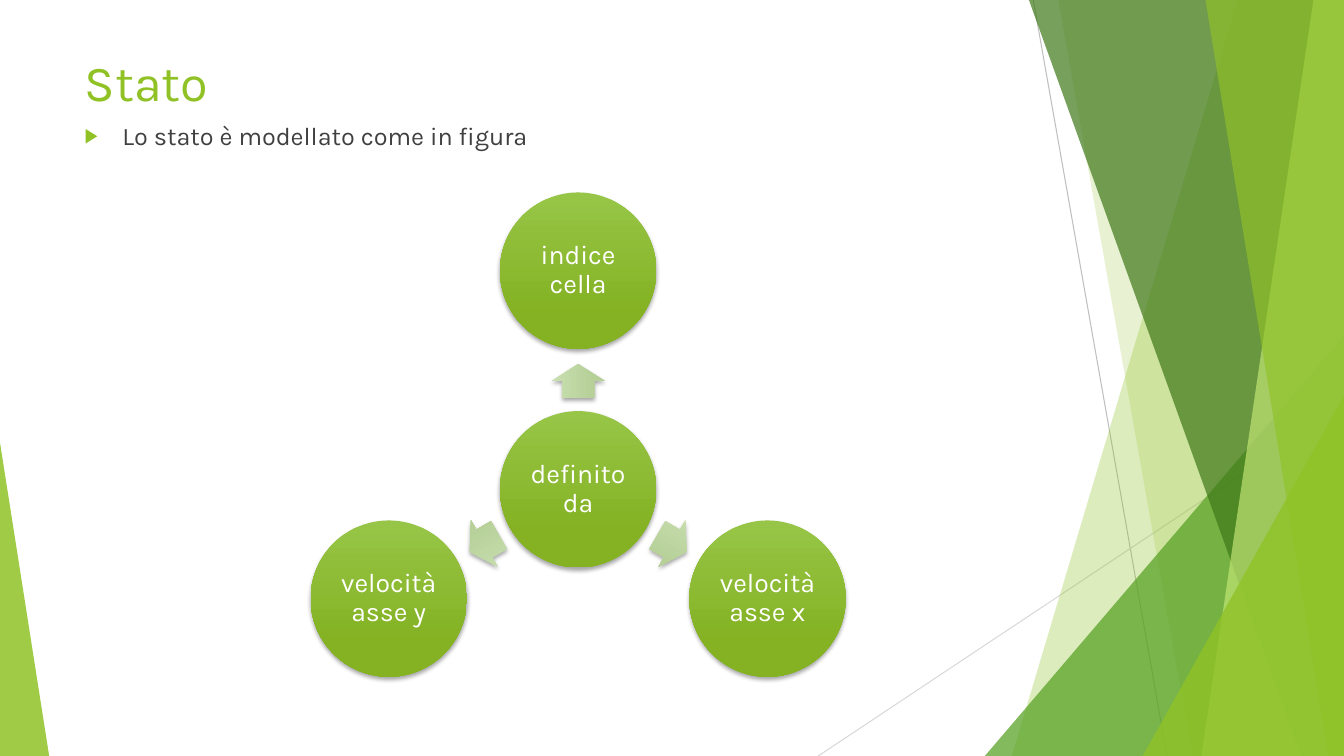
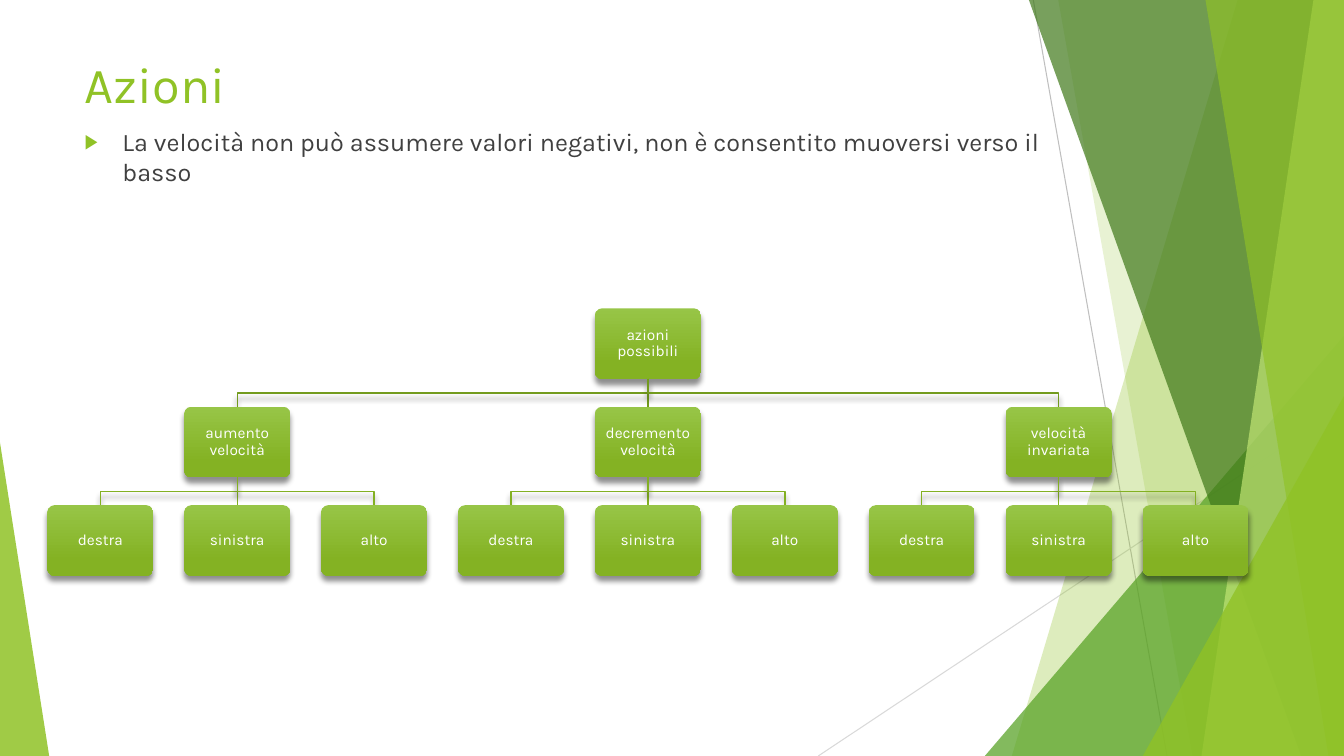
from dataclasses import dataclass
from math import cos, radians, sin

from lxml import etree
from pptx import Presentation
from pptx.dml import color as dml
from pptx.enum import shapes, text
from pptx.oxml import ns
from pptx.util import Cm, Pt

WIDTH, HEIGHT = 33.87, 19.05
FONT = "Karla"
LIME, GREEN, FOREST, PALE = "90C226", "54A021", "3F7819", "C0E474"
WHITE, INK = "FFFFFF", "404040"
NODE_FILL = ("97C547", "84B223")
ARROW_FILL = ("C9DFB1", "B6D098")


@dataclass(frozen=True)
class Facet:
    top_x: float
    bottom_x: float
    color: str
    opacity: int


@dataclass(frozen=True)
class Triangle:
    width: float
    height: float
    apex: int
    color: str
    opacity: int


@dataclass(frozen=True)
class Line:
    start: tuple[float, float]
    end: tuple[float, float]
    color: str
    weight: float = 0.75


@dataclass(frozen=True)
class Shadow:
    opacity: int
    blur: float
    distance: float


@dataclass(frozen=True)
class NodeStyle:
    preset: shapes.MSO_SHAPE
    width: float
    height: float
    margin: float
    size: int
    shadow: Shadow


@dataclass(frozen=True)
class Branch:
    label: str
    leaves: tuple[str, ...] = ("destra", "sinistra", "alto")


BACKDROP_LINES = (
    Line((26.04, 0), (29.41, HEIGHT), "BFBFBF"),
    Line((WIDTH, 10.24), (20.62, HEIGHT), "D9D9D9"),
)
BACKDROP = (
    Facet(31.19, 25.5, LIME, 30),
    Facet(26.67, 30.05, LIME, 20),
    Triangle(9.05, 10.59, 1, GREEN, 72),
    Facet(25.93, 32.79, FOREST, 70),
    Facet(33.1, 30.28, PALE, 70),
    Facet(30.38, 33.48, LIME, 65),
    Triangle(5.07, 9.07, 1, LIME, 80),
    Triangle(1.24, 7.9, 0, LIME, 85),
)

SOFT = Shadow(35, 3, 2)
DEEP = Shadow(43, 4, 4)
CIRCLE = NodeStyle(shapes.MSO_SHAPE.OVAL, 3.94, 3.94, 0.08, 19, SOFT)
CARD = NodeStyle(shapes.MSO_SHAPE.ROUNDED_RECTANGLE, 2.67, 1.78, 0.12, 11, DEEP)

HUB_X, HUB_Y = 14.57, 12.33
ORBIT, ARROW_ORBIT = 5.51, 2.73
ARROW_WIDTH, ARROW_HEIGHT = 0.85, 1.35
STATE_PARTS = {-90: "indice cella", 30: "velocità asse x", 150: "velocità asse y"}

FIRST_COLUMN, COLUMN_STEP = 2.53, 3.45
FIRST_ROW, ROW_STEP = 8.66, 2.48
BRANCH_LINE, LEAF_LINE = "739B1E", "83B022"
BRANCHES = (
    Branch("aumento velocità"),
    Branch("decremento velocità"),
    Branch("velocità invariata"),
)


def rgb(value: str) -> dml.RGBColor:
    return dml.RGBColor.from_string(value)


def add_child(parent, tag: str, **attributes):
    return etree.SubElement(parent, ns.qn(tag), attributes)


def add_shadow(shape, shadow: Shadow) -> None:
    effects = shape.element.spPr.find(ns.qn("a:effectLst"))
    outer = add_child(
        effects, "a:outerShdw", blurRad=str(Pt(shadow.blur)),
        dist=str(Pt(shadow.distance)), dir="5400000", rotWithShape="0",
    )
    tone = add_child(outer, "a:srgbClr", val="000000")
    add_child(tone, "a:alpha", val=str(shadow.opacity * 1000))


def fill_clear(shape, color: str, opacity: int) -> None:
    shape.shadow.inherit = False
    shape.line.fill.background()
    shape.fill.solid()
    shape.fill.fore_color.rgb = rgb(color)
    tone = shape.element.spPr.find(".//" + ns.qn("a:srgbClr"))
    add_child(tone, "a:alpha", val=str(opacity * 1000))


def fill_gradient(shape, colors: tuple[str, str], shadow: Shadow) -> None:
    shape.shadow.inherit = False
    shape.line.fill.background()
    shape.fill.gradient()
    shape.fill.gradient_angle = 270
    for stop, color, position in zip(shape.fill.gradient_stops, colors, (0, 0.78)):
        stop.color.rgb = rgb(color)
        stop.position = position
    add_shadow(shape, shadow)


def add_centred(page, preset, x: float, y: float, width: float, height: float):
    return page.shapes.add_shape(
        preset, Cm(x - width / 2), Cm(y - height / 2), Cm(width), Cm(height)
    )


def add_polygon(page, points: list[tuple[float, float]], close: bool):
    corners = [(Cm(x), Cm(y)) for x, y in points]
    builder = page.shapes.build_freeform(*corners[0], scale=1.0)
    builder.add_line_segments(corners[1:], close=close)
    return builder.convert_to_shape()


def add_line(page, line: Line) -> None:
    (x1, y1), (x2, y2) = line.start, line.end
    connector = page.shapes.add_connector(
        shapes.MSO_CONNECTOR.STRAIGHT, Cm(x1), Cm(y1), Cm(x2), Cm(y2)
    )
    connector.line.color.rgb = rgb(line.color)
    connector.line.width = Pt(line.weight)
    add_child(connector.element.spPr, "a:effectLst")


def write(para, words: str, size: int, color: str) -> None:
    span = para.add_run()
    span.text = words
    span.font.name = FONT
    span.font.size = Pt(size)
    span.font.color.rgb = rgb(color)


def add_backdrop(page, layout) -> None:
    before = len(page.shapes)
    for line in BACKDROP_LINES:
        add_line(page, line)
    for part in BACKDROP:
        if isinstance(part, Facet):
            corners = [(part.top_x, 0), (WIDTH, 0), (WIDTH, HEIGHT), (part.bottom_x, HEIGHT)]
            shape = add_polygon(page, corners, close=True)
        else:
            shape = page.shapes.add_shape(
                shapes.MSO_SHAPE.ISOSCELES_TRIANGLE,
                Cm((WIDTH - part.width) * part.apex), Cm(HEIGHT - part.height),
                Cm(part.width), Cm(part.height),
            )
            shape.adjustments[0] = part.apex
        fill_clear(shape, part.color, part.opacity)
    tree = layout.element.cSld.spTree
    for position, shape in enumerate(list(page.shapes)[before:], start=2):
        tree.insert(position, shape.element)


def place_text(box, top: float, width: float, height: float):
    box.left, box.top, box.width, box.height = Cm(1.88), Cm(top), Cm(width), Cm(height)
    frame = box.text_frame
    frame.word_wrap = True
    frame.auto_size = text.MSO_AUTO_SIZE.NONE
    frame.vertical_anchor = text.MSO_ANCHOR.TOP
    para = frame.paragraphs[0]
    para.alignment = text.PP_ALIGN.LEFT
    return para


def add_heading(page, title: str, title_top: float, point: str, point_top: float) -> None:
    para = place_text(page.shapes.title, title_top, 23.88, 3.66)
    write(para, title, 36, LIME)
    para = place_text(page.placeholders[1], point_top, 25.25, 2.57)
    properties = para._p.get_or_add_pPr()
    properties.set("marL", str(Cm(0.95)))
    properties.set("indent", str(-Cm(0.95)))
    add_child(add_child(properties, "a:buClr"), "a:srgbClr", val=LIME)
    add_child(properties, "a:buSzPct", val="80000")
    add_child(properties, "a:buFont", typeface="Arial")
    add_child(properties, "a:buChar", char="▶")
    para.space_before = Pt(0)
    write(para, point, 18, INK)


def add_node(page, style: NodeStyle, x: float, y: float, label: str) -> None:
    shape = add_centred(page, style.preset, x, y, style.width, style.height)
    if style.preset == shapes.MSO_SHAPE.ROUNDED_RECTANGLE:
        shape.adjustments[0] = 0.1
    fill_gradient(shape, NODE_FILL, style.shadow)
    frame = shape.text_frame
    frame.word_wrap = True
    frame.vertical_anchor = text.MSO_ANCHOR.MIDDLE
    frame.margin_left = frame.margin_right = Cm(style.margin)
    frame.margin_top = frame.margin_bottom = Cm(style.margin)
    para = frame.paragraphs[0]
    para.alignment = text.PP_ALIGN.CENTER
    para.line_spacing = 0.9
    write(para, label, style.size, WHITE)


def add_state_diagram(page) -> None:
    add_node(page, CIRCLE, HUB_X, HUB_Y, "definito da")
    for angle, label in STATE_PARTS.items():
        dx, dy = cos(radians(angle)), sin(radians(angle))
        arrow = add_centred(
            page, shapes.MSO_SHAPE.RIGHT_ARROW,
            HUB_X + ARROW_ORBIT * dx, HUB_Y + ARROW_ORBIT * dy,
            ARROW_WIDTH, ARROW_HEIGHT,
        )
        arrow.rotation = angle % 360
        arrow.adjustments[0] = 0.6
        arrow.adjustments[1] = 0.5
        fill_gradient(arrow, ARROW_FILL, SOFT)
        add_node(page, CIRCLE, HUB_X + ORBIT * dx, HUB_Y + ORBIT * dy, label)


def column_x(column: int) -> float:
    return FIRST_COLUMN + column * COLUMN_STEP


def row_y(row: int) -> float:
    return FIRST_ROW + row * ROW_STEP


def add_link(page, parent: int, child: int, row: int, color: str) -> None:
    start, end = column_x(parent), column_x(child)
    top, bottom = row_y(row - 1) + CARD.height / 2, row_y(row) - CARD.height / 2
    if parent == child:
        add_line(page, Line((start, top), (end, bottom), color, 1))
        return
    middle = (top + bottom) / 2
    elbow = add_polygon(
        page, [(start, top), (start, middle), (end, middle), (end, bottom)], close=False
    )
    elbow.shadow.inherit = False
    elbow.fill.background()
    elbow.line.color.rgb = rgb(color)
    elbow.line.width = Pt(1)
    add_shadow(elbow, DEEP)


def add_action_tree(page) -> None:
    root = 4
    add_node(page, CARD, column_x(root), row_y(0), "azioni possibili")
    for index, branch in enumerate(BRANCHES):
        first = index * len(branch.leaves)
        middle = first + 1
        add_link(page, root, middle, 1, BRANCH_LINE)
        add_node(page, CARD, column_x(middle), row_y(1), branch.label)
        for column, leaf in enumerate(branch.leaves, start=first):
            add_link(page, middle, column, 2, LEAF_LINE)
            add_node(page, CARD, column_x(column), row_y(2), leaf)


def main() -> None:
    deck = Presentation()
    deck.slide_width, deck.slide_height = Cm(WIDTH), Cm(HEIGHT)
    layout = deck.slide_layouts[1]

    state = deck.slides.add_slide(layout)
    add_backdrop(state, layout)
    add_heading(state, "Stato", 1.17, "Lo stato è modellato come in figura", 2.9)
    add_state_diagram(state)

    actions = deck.slides.add_slide(layout)
    add_heading(
        actions, "Azioni", 1.22,
        "La velocità non può assumere valori negativi, "
        "non è consentito muoversi verso il basso", 3.05,
    )
    add_action_tree(actions)
    deck.save("out.pptx")


if __name__ == "__main__":
    main()
